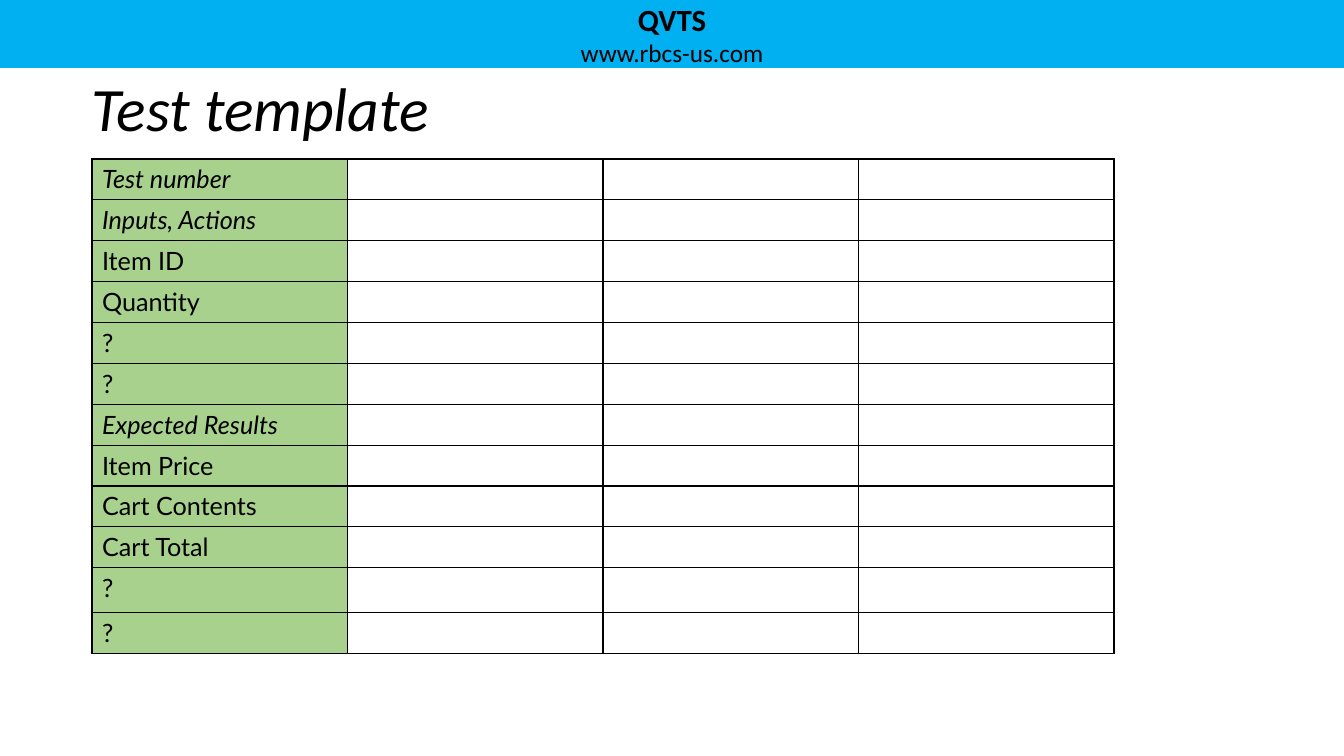
from lxml import etree
from pptx import Presentation
from pptx.dml.color import RGBColor
from pptx.enum.shapes import MSO_SHAPE
from pptx.enum.text import MSO_ANCHOR, MSO_AUTO_SIZE, PP_ALIGN
from pptx.oxml.ns import qn
from pptx.util import Emu, Pt

RECT = MSO_SHAPE.RECTANGLE
MIDDLE = MSO_ANCHOR.MIDDLE
NO_AUTOFIT = MSO_AUTO_SIZE.NONE
LEFT, CENTER = PP_ALIGN.LEFT, PP_ALIGN.CENTER

# Content
BANNER = [("QVTS", 22, True), ("www.rbcs-us.com", 18, False)]
TITLE = "Test template"
ROWS = [  # label, italic
    ("Test number", True),
    ("Inputs, Actions", True),
    ("Item ID", False),
    ("Quantity", False),
    ("?", False),
    ("?", False),
    ("Expected Results", True),
    ("Item Price", False),
    ("Cart Contents", False),
    ("Cart Total", False),
    ("?", False),
    ("?", False),
]
COLORS = {"banner": "00B0F0", "label": "A9D18E", "cell": "FFFFFF", "ink": "000000"}

# Layout in px
SLIDE_W, SLIDE_H = 1344, 756
MARGIN = 92
BANNER_H = 68
TITLE_BOX = (MARGIN, 59, 1160, 101)
TABLE_TOP, TABLE_W, TABLE_H = 159, 1022, 490
COLS = 4
TALL_ROW, TALL_H = 10, 45


def px(n):
    return Emu(round(n * 914400 / 100.8))


def rgb(name):
    return RGBColor.from_string(COLORS[name])


def set_fill(obj, name):
    obj.fill.solid()
    obj.fill.fore_color.rgb = rgb(name)


def write(p, text, **fmt):
    r = p.add_run()
    r.text = text
    r.font.color.rgb = rgb("ink")
    for key, value in fmt.items():
        setattr(r.font, key, value)


def frame(tf, **fmt):
    for key, value in fmt.items():
        setattr(tf, key, value)


def set_borders(cell):
    tcPr = cell._tc.get_or_add_tcPr()
    for i, side in enumerate(("lnL", "lnR", "lnT", "lnB")):
        ln = etree.Element(qn("a:" + side), w=str(Pt(1)))
        solid = etree.SubElement(ln, qn("a:solidFill"))
        etree.SubElement(solid, qn("a:srgbClr"), val=COLORS["ink"])
        tcPr.insert(i, ln)


prs = Presentation()
prs.slide_width, prs.slide_height = px(SLIDE_W), px(SLIDE_H)
s = prs.slides.add_slide(prs.slide_layouts[5])

# Banner
sp = s.shapes.add_shape(RECT, 0, 0, px(SLIDE_W), px(BANNER_H))
sp.shadow.inherit = False
set_fill(sp, "banner")
sp.line.fill.background()
tf = sp.text_frame
frame(tf, margin_top=0, margin_bottom=0, vertical_anchor=MIDDLE, word_wrap=True)
for i, (text, size, bold) in enumerate(BANNER):
    p = tf.add_paragraph() if i else tf.paragraphs[0]
    p.alignment = CENTER
    write(p, text, name="Calibri", size=Pt(size), bold=bold)

# Title
title = s.shapes.title
title.left, title.top, title.width, title.height = map(px, TITLE_BOX)
tf = title.text_frame
frame(tf, margin_left=0, margin_right=0, margin_top=px(5), margin_bottom=0,
      vertical_anchor=MIDDLE, word_wrap=True, auto_size=NO_AUTOFIT)
p = tf.paragraphs[0]
p.alignment, p.line_spacing = LEFT, 0.9
write(p, TITLE, name="Calibri", size=Pt(44), italic=True)

# Test table: labels in the first column, the rest left blank
table = s.shapes.add_table(len(ROWS), COLS, px(MARGIN), px(TABLE_TOP),
                           px(TABLE_W), px(TABLE_H)).table
table.first_row = table.horz_banding = False
row_h = (TABLE_H - TALL_H) / (len(ROWS) - 1)
for i, (label, italic) in enumerate(ROWS):
    table.rows[i].height = px(TALL_H if i == TALL_ROW else row_h)
    for j in range(COLS):
        cell = table.cell(i, j)
        set_fill(cell, "cell" if j else "label")
        set_borders(cell)
    write(table.cell(i, 0).text_frame.paragraphs[0], label,
          name="Lato", size=Pt(18), italic=italic)

prs.save("out.pptx")
